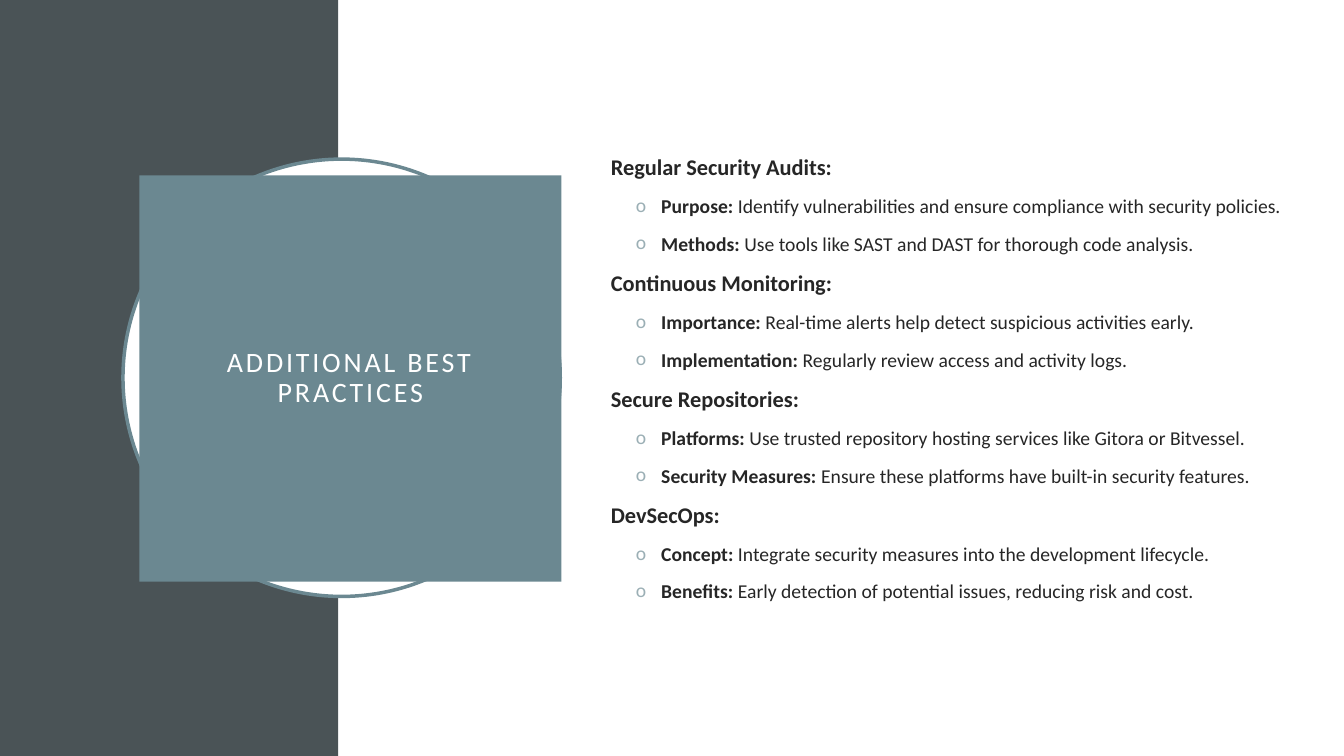
from dataclasses import dataclass

from lxml import etree
from pptx import Presentation
from pptx.dml.color import RGBColor
from pptx.enum.shapes import MSO_SHAPE
from pptx.enum.text import MSO_ANCHOR, MSO_AUTO_SIZE, PP_ALIGN
from pptx.oxml.ns import qn
from pptx.util import Cm, Pt

RECT, OVAL = MSO_SHAPE.RECTANGLE, MSO_SHAPE.OVAL
MIDDLE, FIXED = MSO_ANCHOR.MIDDLE, MSO_AUTO_SIZE.NONE
LEFT, CENTER = PP_ALIGN.LEFT, PP_ALIGN.CENTER
FONT = "Calibri"
COLORS = {
    "dark": "4A5356",
    "white": "FFFFFF",
    "teal": "6B8891",
    "text": "262626",
    "bullet": "9BAFB5",
}
WIDTH, HEIGHT, SPLIT = 33.87, 19.05, 8.53


@dataclass
class Box:
    left: float
    top: float
    width: float
    height: float


@dataclass
class Panel:
    kind: int
    box: Box
    fill: str
    line: str = ""


@dataclass
class Point:
    label: str
    detail: str


@dataclass
class Topic:
    head: str
    points: list[Point]


PANELS = [
    Panel(RECT, Box(0, 0, SPLIT, HEIGHT), "dark"),
    Panel(RECT, Box(SPLIT, 0, WIDTH - SPLIT, HEIGHT), "white"),
    Panel(OVAL, Box(3.1, 4.01, 11.02, 11.02), "white", "teal"),
]
TOPICS = [
    Topic("Regular Security Audits:", [
        Point("Purpose:", " Identify vulnerabilities and ensure compliance with security policies."),
        Point("Methods:", " Use tools like SAST and DAST for thorough code analysis."),
    ]),
    Topic("Continuous Monitoring:", [
        Point("Importance:", " Real-time alerts help detect suspicious activities early."),
        Point("Implementation:", " Regularly review access and activity logs."),
    ]),
    Topic("Secure Repositories:", [
        Point("Platforms:", " Use trusted repository hosting services like Gitora or Bitvessel."),
        Point("Security Measures:", " Ensure these platforms have built-in security features."),
    ]),
    Topic("DevSecOps:", [
        Point("Concept:", " Integrate security measures into the development lifecycle."),
        Point("Benefits:", " Early detection of potential issues, reducing risk and cost."),
    ]),
]


def color(name: str) -> RGBColor:
    return RGBColor.from_string(COLORS[name])


def style(run, size: int, tint: str, bold: bool = False) -> None:
    font = run.font
    font.name, font.size, font.bold = FONT, Pt(size), bold
    font.color.rgb = color(tint)


def draw(slide, panel: Panel) -> None:
    box = panel.box
    shape = slide.shapes.add_shape(
        panel.kind, Cm(box.left), Cm(box.top), Cm(box.width), Cm(box.height))
    shape.shadow.inherit = False
    shape.fill.solid()
    shape.fill.fore_color.rgb = color(panel.fill)
    if panel.line:
        shape.line.color.rgb = color(panel.line)
        shape.line.width = Pt(2.5)
    else:
        shape.line.fill.background()


def place(slide, holder, box: Box):
    holder.left, holder.top = Cm(box.left), Cm(box.top)
    holder.width, holder.height = Cm(box.width), Cm(box.height)
    slide.shapes._spTree.append(holder._element)
    frame = holder.text_frame
    frame.word_wrap, frame.auto_size = True, FIXED
    frame.vertical_anchor = MIDDLE
    return frame


def add_title(slide) -> None:
    title = slide.shapes.title
    frame = place(slide, title, Box(3.51, 4.42, 10.64, 10.24))
    title.fill.solid()
    title.fill.fore_color.rgb = color("teal")
    frame.margin_left = frame.margin_right = Cm(0.51)
    frame.margin_top = frame.margin_bottom = Cm(0.51)
    frame.text = "ADDITIONAL BEST PRACTICES"
    para = frame.paragraphs[0]
    para.alignment, para.line_spacing = CENTER, 0.9
    run = para.runs[0]
    style(run, 20, "white")
    run.font._element.set("spc", "200")


def indent(para, left: float, hang: float, mark: str = "") -> None:
    para.alignment, para.space_before = LEFT, Pt(10)
    props = para._p.get_or_add_pPr()
    props.set("marL", str(Cm(left)))
    props.set("indent", str(Cm(-hang)))
    if not mark:
        etree.SubElement(props, qn("a:buNone"))
        return
    tint = etree.SubElement(props, qn("a:buClr"))
    etree.SubElement(tint, qn("a:srgbClr"), val=COLORS["bullet"])
    etree.SubElement(props, qn("a:buFont"), typeface=FONT)
    etree.SubElement(props, qn("a:buChar"), char=mark)


def add_list(slide) -> None:
    frame = place(slide, slide.placeholders[1], Box(15.14, 2.72, 18.14, 13.61))
    rows = [row for topic in TOPICS for row in (topic.head, *topic.points)]
    frame.text = "\n".join(
        row.label if isinstance(row, Point) else row for row in rows)
    for para, row in zip(frame.paragraphs, rows):
        if isinstance(row, Point):
            para.level = 1
            indent(para, 1.27, 0.64, "o")
            style(para.runs[0], 14, "text", True)
            detail = para.add_run()
            detail.text = row.detail
            style(detail, 14, "text")
        else:
            indent(para, 0, 0)
            style(para.runs[0], 16, "text", True)


def main() -> None:
    deck = Presentation()
    deck.slide_width, deck.slide_height = Cm(WIDTH), Cm(HEIGHT)
    slide = deck.slides.add_slide(deck.slide_layouts[1])
    for panel in PANELS:
        draw(slide, panel)
    add_title(slide)
    add_list(slide)
    deck.save("out.pptx")


if __name__ == "__main__":
    main()
